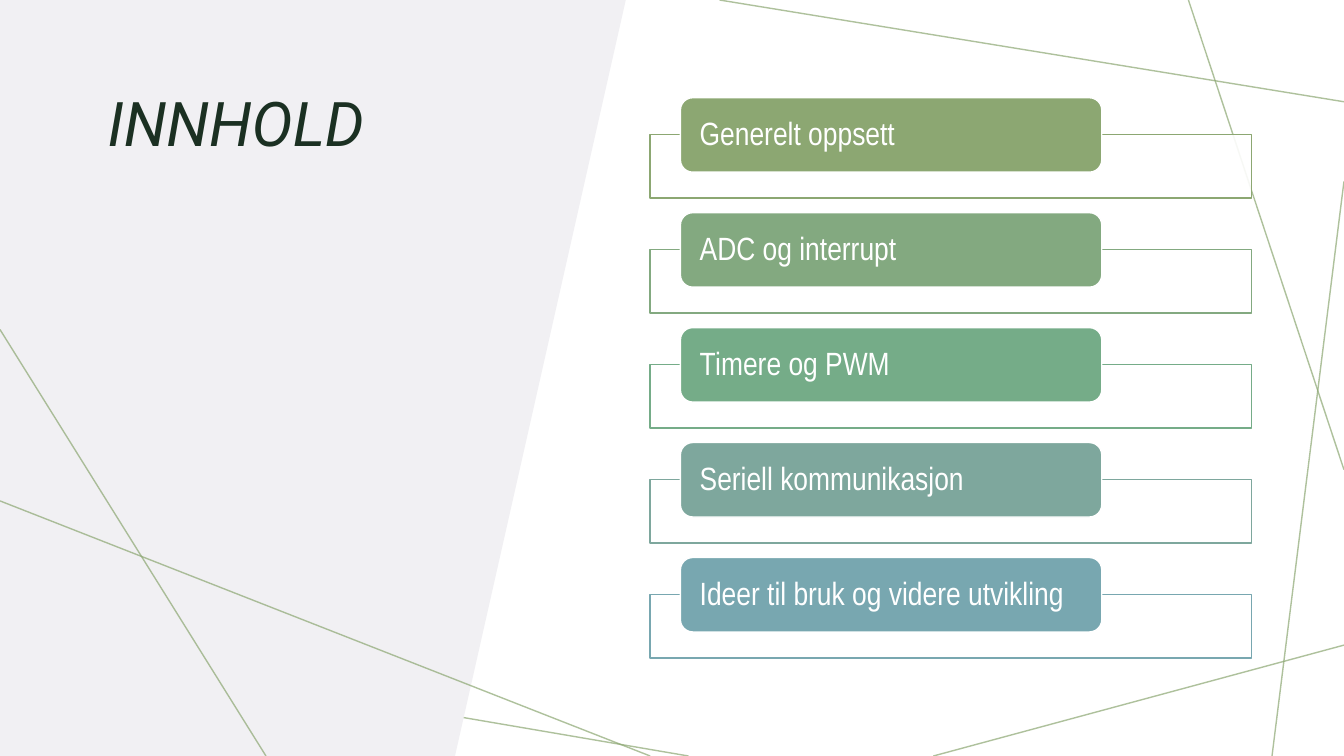
import pptx
import pptx.util
import pptx.dml.color
import pptx.enum.shapes
import pptx.enum.text
import pptx.oxml.ns
import lxml.etree

Pt = pptx.util.Pt
Kind = pptx.enum.shapes.MSO_SHAPE
Anchor = pptx.enum.text.MSO_ANCHOR
Align = pptx.enum.text.PP_ALIGN
qn = pptx.oxml.ns.qn


def paint(color, code, alpha=100):
    color.rgb = pptx.dml.color.RGBColor.from_string(code)
    if alpha < 100:
        node = color._xFill.find(qn("a:srgbClr"))
        lxml.etree.SubElement(node, qn("a:alpha")).set("val", str(alpha * 1000))


def write(shape, text, size, font, code, side, top, anchor, italic=False):
    frame = shape.text_frame
    frame.word_wrap = True
    frame.vertical_anchor = anchor
    frame.margin_left = frame.margin_right = Pt(side)
    frame.margin_top = frame.margin_bottom = Pt(top)
    para = frame.paragraphs[0]
    para.alignment = Align.LEFT
    para.line_spacing = 0.9
    run = para.add_run()
    run.text = text
    run.font.size = Pt(size)
    run.font.name = font
    run.font.italic = italic
    paint(run.font.color, code)


deck = pptx.Presentation()
deck.slide_width, deck.slide_height = Pt(960), Pt(540)
slide = deck.slides.add_slide(deck.slide_layouts[6])
shapes = slide.shapes

back = [
    (491.8, 540, 0, 456),
    (960, 460.8, 666.7, 540),
    (960, 129.6, 908.6, 540),
    (960, 335.5, 848.9, 0),
    (960, 72.7, 514, 0),
]
front = [(464.4, 540, 0, 357.8), (190, 540, 0, 235.4)]

rows = [
    ("Generelt oppsett", "8CA772"),
    ("ADC og interrupt", "83A980"),
    ("Timere og PWM", "75AC88"),
    ("Seriell kommunikasjon", "7EA79D"),
    ("Ideer til bruk og videre utvikling", "78A7B0"),
]

lines = []
for ends in back + front:
    line = shapes.add_connector(
        pptx.enum.shapes.MSO_CONNECTOR.STRAIGHT, *[Pt(n) for n in ends])
    line.line.width = Pt(1)
    line.line.fill.solid()
    paint(line.line.fill.fore_color, "8CA772", 70)
    lxml.etree.SubElement(line._element.spPr, qn("a:effectLst"))
    lines.append(line)

draft = shapes.build_freeform(0, 0, scale=Pt(1))
draft.add_line_segments([(447, 0), (324.7, 540), (0, 540)], close=True)
panel = draft.convert_to_shape()
panel.shadow.inherit = False
panel.fill.solid()
paint(panel.fill.fore_color, "F1F0F3")
panel.line.fill.background()

title = shapes.add_textbox(Pt(69.8), Pt(63.4), Pt(320.4), Pt(276.5))
write(title, "INNHOLD", 44, "Roboto", "1B3022", 7.2, 3.6, Anchor.TOP, italic=True)

for i, (text, code) in enumerate(rows):
    top = 69.8 + i * 82.1
    frame = shapes.add_shape(Kind.RECTANGLE, Pt(464.4), Pt(top + 26.4), Pt(429.8), Pt(45.4))
    label = shapes.add_shape(Kind.ROUNDED_RECTANGLE, Pt(486), Pt(top), Pt(301), Pt(53.2))
    for box, fill, edge, alpha in [(frame, "FFFFFF", code, 90), (label, code, "FFFFFF", 100)]:
        box.shadow.inherit = False
        box.fill.solid()
        paint(box.fill.fore_color, fill, alpha)
        box.line.width = Pt(1)
        box.line.fill.solid()
        paint(box.line.fill.fore_color, edge)
    write(label, text, 23, "Arial Narrow", "FFFFFF", 11.2, 0, Anchor.MIDDLE)

for line in lines[len(back):]:
    shapes._spTree.append(line._element)

deck.save("out.pptx")
